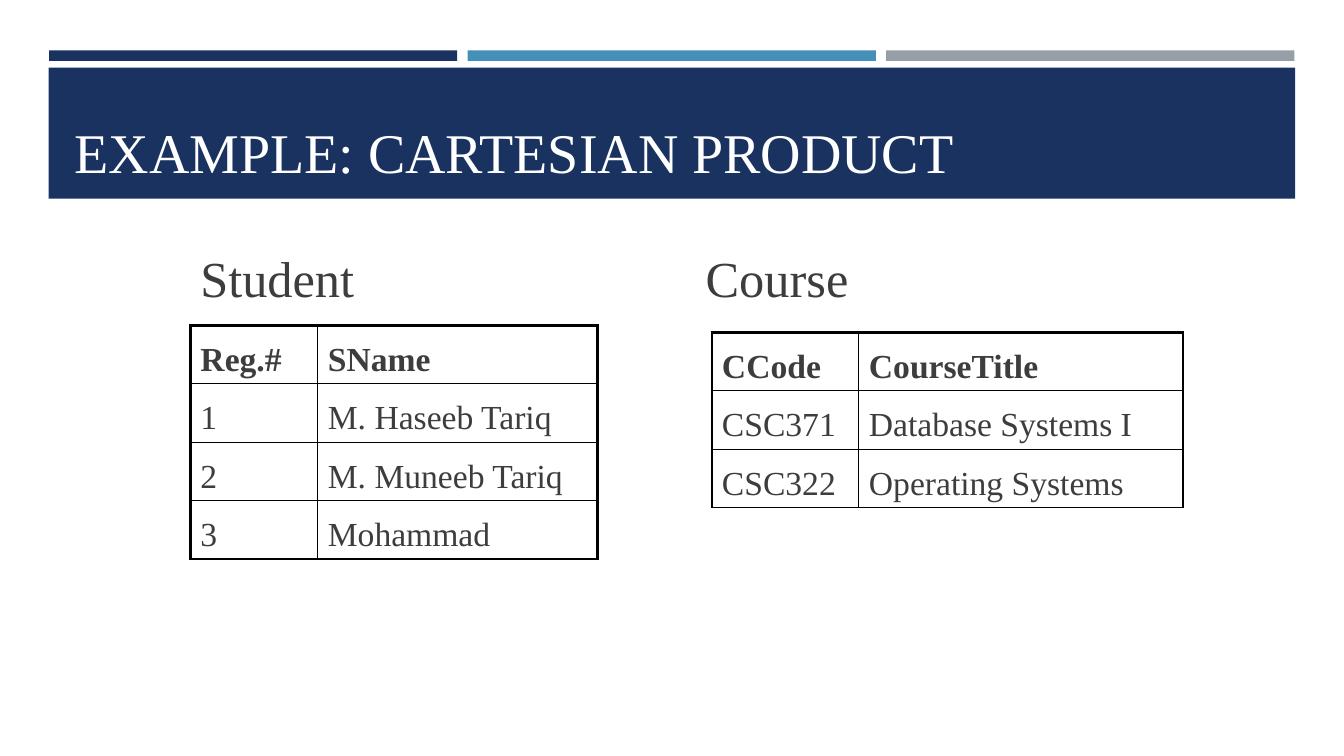
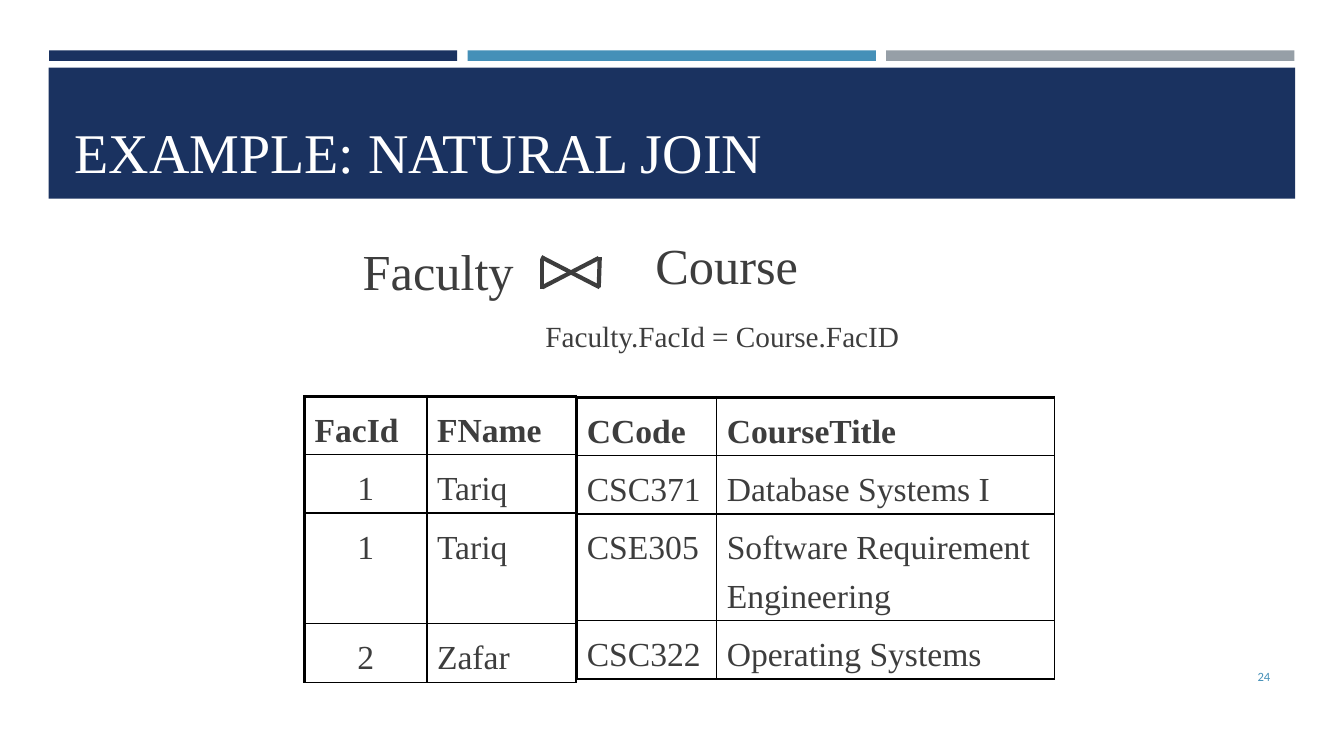
"""Build two slides on relational algebra: Cartesian product and natural join."""
import pptx
import pptx.dml.color
import pptx.enum.shapes
import pptx.enum.text
import pptx.oxml.ns
import pptx.util
from lxml import etree

Pt = pptx.util.Pt
RGB = pptx.dml.color.RGBColor.from_string
ALIGN = pptx.enum.text.PP_ALIGN
ANCHOR = pptx.enum.text.MSO_ANCHOR
qn = pptx.oxml.ns.qn

COLORS = {"navy": "1A3260", "blue": "4590B8", "gray": "969FA7",
          "text": "3D3D3D", "white": "FFFFFF", "border": "000000"}
SERIF = "Times New Roman"
THICK, THIN = 2.25, 1


def write(frame, text, size, color="text", font=SERIF, bold=False, align=ALIGN.LEFT):
    """Add one formatted run to the first paragraph and return the run."""
    paragraph = frame.paragraphs[0]
    paragraph.alignment = align
    run = paragraph.add_run()
    run.text = text
    run.font.size = Pt(size)
    run.font.name = font
    run.font.bold = bold
    run.font.color.rgb = RGB(COLORS[color])
    return run


def add_relation(slide, left, top, widths, heights, rows, right_edge=THICK, center_ids=False):
    """Add a bordered relation table whose first row holds the attribute names."""
    table = slide.shapes.add_table(len(rows), len(widths), Pt(left), Pt(top),
                                   Pt(sum(widths)), Pt(sum(heights))).table
    table.first_row = table.horz_banding = False
    for column, width in zip(table.columns, widths):
        column.width = Pt(width)
    for r, (height, values) in enumerate(zip(heights, rows)):
        table.rows[r].height = Pt(height)
        for c, value in enumerate(values):
            cell = table.cell(r, c)
            centered = center_ids and r > 0 and c == 0
            write(cell.text_frame, value, 24, bold=r == 0,
                  align=ALIGN.CENTER if centered else ALIGN.LEFT)
            cell.text_frame.paragraphs[0].line_spacing = 1.3
            edges = {"a:lnL": THICK if c == 0 else THIN,
                     "a:lnR": right_edge if c == len(widths) - 1 else THIN,
                     "a:lnT": THICK if r == 0 else THIN,
                     "a:lnB": THIN}
            properties = cell._tc.get_or_add_tcPr()
            for tag, weight in edges.items():
                edge = etree.SubElement(properties, qn(tag), w=str(Pt(weight)))
                paint = etree.SubElement(edge, qn("a:solidFill"))
                etree.SubElement(paint, qn("a:srgbClr"), val=COLORS["border"])
            cell.fill.solid()
            cell.fill.fore_color.rgb = RGB(COLORS["white"])


prs = pptx.Presentation()
prs.slide_width, prs.slide_height = Pt(960), Pt(540)
layout = prs.slide_layouts[5]

slides = []
for heading in ["EXAMPLE: CARTESIAN PRODUCT", "EXAMPLE: NATURAL JOIN"]:
    slide = prs.slides.add_slide(layout)
    title = slide.shapes.title
    title.left, title.top, title.width, title.height = Pt(46), Pt(55.5), Pt(868.5), Pt(80)
    title.text_frame.vertical_anchor = ANCHOR.BOTTOM
    write(title.text_frame, heading, 40, "white")
    slides.append(slide)
product, join = slides

bands = [(35 + 299 * i, 36, 291.6, 7.5, color)
         for i, color in enumerate(["navy", "blue", "gray"])]
bands.append((34.8, 48.4, 890.4, 93.6, "navy"))
for position, (left, top, width, height, color) in enumerate(bands):
    band = product.shapes.add_shape(pptx.enum.shapes.MSO_SHAPE.RECTANGLE,
                                    Pt(left), Pt(top), Pt(width), Pt(height))
    band.shadow.inherit = False
    band.fill.solid()
    band.fill.fore_color.rgb = RGB(COLORS[color])
    band.line.fill.background()
    layout.shapes.element.insert(2 + position, band.element)

add_relation(product, 508.5, 237.5, [105, 231.5], [41.5] * 3, [
    ("CCode", "CourseTitle"),
    ("CSC371", "Database Systems I"),
    ("CSC322", "Operating Systems")])
add_relation(product, 136, 232.5, [91, 200], [41.5] * 4, [
    ("Reg.#", "SName"),
    ("1", "M. Haseeb Tariq"),
    ("2", "M. Muneeb Tariq"),
    ("3", "Mohammad")])
add_relation(join, 412, 283.7, [100, 241], [41.5, 41.5, 76, 41.5], [
    ("CCode", "CourseTitle"),
    ("CSC371", "Database Systems I"),
    ("CSE305", "Software Requirement Engineering"),
    ("CSC322", "Operating Systems")], right_edge=THIN)
add_relation(join, 217.5, 283, [87.5, 106.5], [41.5, 41.5, 79.2, 41.5], [
    ("FacId", "FName"),
    ("1", "Tariq"),
    ("1", "Tariq"),
    ("2", "Zafar")], center_ids=True)

bowtie = [(386.6, 183.6, 428.4, 205.2), (387.4, 205.2, 427.7, 184.3),
          (387.4, 185, 387.4, 206.6), (428.4, 183.6, 427.7, 205.2)]
for ends in bowtie:
    stroke = join.shapes.add_connector(pptx.enum.shapes.MSO_CONNECTOR.STRAIGHT,
                                       *[Pt(end) for end in ends])
    stroke.line.color.rgb = RGB(COLORS["text"])
    stroke.line.width = Pt(3)
    etree.SubElement(stroke.element.spPr, qn("a:effectLst"))

labels = [(product, "Student", 136, 173, 163.5, 51),
          (product, "Course", 497, 173, 163.5, 51),
          (join, "Faculty", 252, 168, 124.5, 51),
          (join, "Course", 461, 164, 117.5, 51),
          (join, "Faculty.FacId = Course.FacID", 382.5, 199.5, 461.5, 36.5)]
for slide, text, left, top, width, height in labels:
    label = slide.shapes.add_textbox(Pt(left), Pt(top), Pt(width), Pt(height))
    label.text_frame.word_wrap = True
    run = write(label.text_frame, text, 36)
    if "=" in text:
        run.font._element.set("baseline", "-25000")

page_number = join.shapes.add_textbox(Pt(831.5), Pt(468.5), Pt(83), Pt(29))
page_number.text_frame.word_wrap = True
page_number.text_frame.vertical_anchor = ANCHOR.MIDDLE
write(page_number.text_frame, "24", 9, "blue", "Calibri", align=ALIGN.RIGHT)

prs.save("out.pptx")
